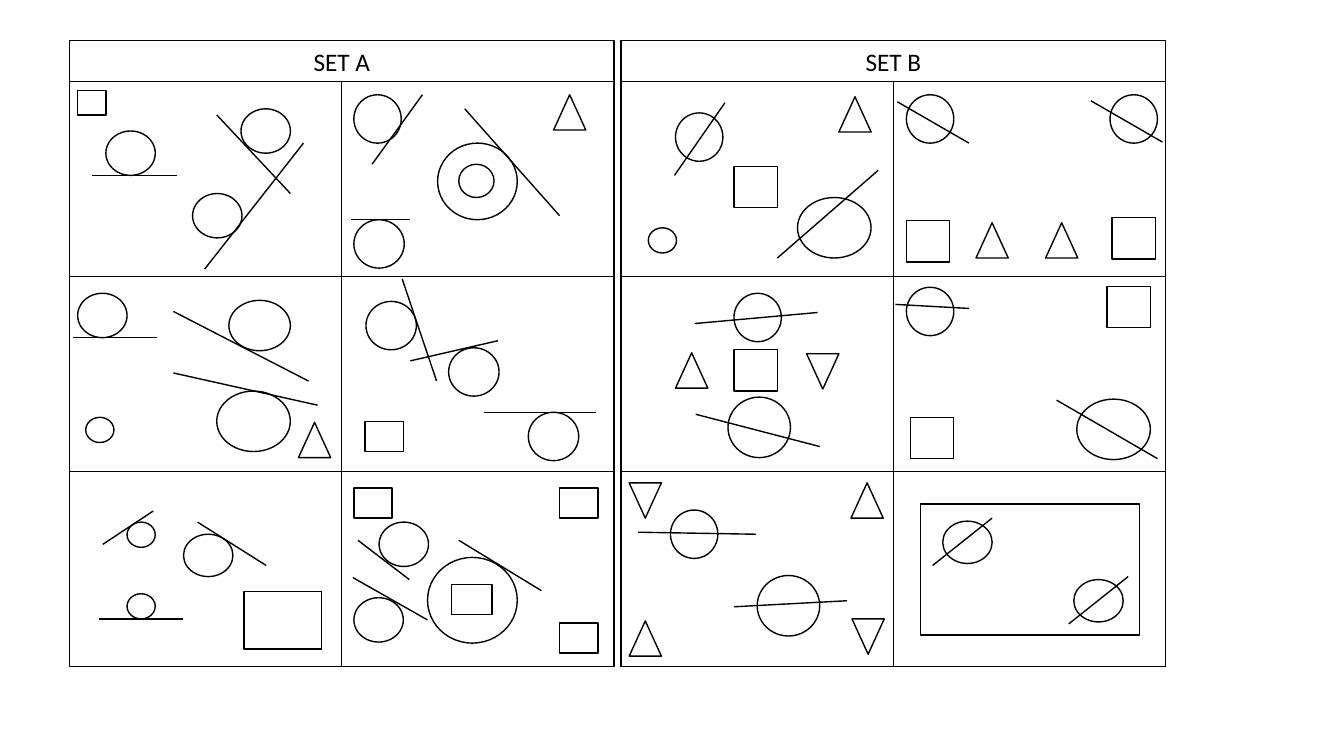
from lxml.etree import SubElement
from pptx import Presentation
from pptx.dml.color import RGBColor
from pptx.enum.shapes import MSO_CONNECTOR as Connector, MSO_SHAPE as Shape
from pptx.enum.text import MSO_ANCHOR as Anchor, MSO_AUTO_SIZE as AutoSize, PP_ALIGN as Align
from pptx.oxml import parse_xml
from pptx.oxml.ns import nsdecls, qn
from pptx.util import Cm, Pt

COLOURS = {"ink": "000000"}
FRAME_FORMAT = {"word_wrap": False, "auto_size": AutoSize.NONE, "vertical_anchor": Anchor.MIDDLE}
FONT_FORMAT = {"name": "Calibri", "size": Pt(18), "bold": False}
PLAIN_TABLE = {"first_row": False, "horz_banding": False}
LINE_WIDTH = 1
CM_PER_INCH = 2.54

GRID_TOP, HEADER_TOP, HEADER_HEIGHT = 0.81, 0.4, 0.41
SET_WIDTH, GRID_HEIGHT = 5.4, 5.8
ROWS, COLUMNS = 3, 2
SETS = [("SET A", 0.69), ("SET B", 6.16)]

FIGURES = {
    (Shape.OVAL, 0.28, 0.25): [(0.85, 4.14), (1.26, 5.18), (1.26, 5.89), (6.43, 2.26)],
    (Shape.OVAL, 0.35, 0.33): [(4.55, 1.63)],
    (Shape.OVAL, 0.47, 0.48): [(3.51, 0.94), (6.7, 1.12), (8.99, 2.85), (7.28, 2.91),
                               (8.99, 0.94), (11.01, 0.94), (6.65, 5.06)],
    (Shape.OVAL, 0.49, 0.42): [(1.82, 5.3), (9.35, 5.17), (10.65, 5.75)],
    (Shape.OVAL, 0.49, 0.44): [(1.05, 1.3), (1.91, 1.92), (2.39, 1.08), (0.77, 2.91),
                               (3.76, 5.18), (3.51, 5.93)],
    (Shape.OVAL, 0.5, 0.48): [(3.51, 2.18), (3.63, 2.99), (4.45, 3.45), (5.24, 4.09)],
    (Shape.OVAL, 0.61, 0.5): [(2.27, 2.98)],
    (Shape.OVAL, 0.62, 0.6): [(7.22, 3.94), (7.51, 5.71)],
    (Shape.OVAL, 0.73, 0.6): [(2.15, 3.88), (7.91, 1.96), (10.68, 3.96)],
    (Shape.OVAL, 0.79, 0.76): [(4.34, 1.42)],
    (Shape.OVAL, 0.89, 0.85): [(4.24, 5.53)],
    (Shape.RECTANGLE, 0.28, 0.24): [(0.77, 0.9)],
    (Shape.RECTANGLE, 0.38, 0.3): [(3.62, 4.18), (3.51, 4.84), (5.55, 4.84), (5.55, 6.18)],
    (Shape.RECTANGLE, 0.4, 0.3): [(4.48, 5.8)],
    (Shape.RECTANGLE, 0.43, 0.41): [(7.28, 1.65), (9.03, 4.14), (10.98, 2.84), (7.28, 3.47),
                                    (8.99, 2.19), (11.03, 2.16)],
    (Shape.RECTANGLE, 0.77, 0.57): [(2.42, 5.87)],
    (Shape.RECTANGLE, 2.17, 1.3): [(9.13, 5)],
    (Shape.ISOSCELES_TRIANGLE, 0.32, 0.35): [(5.49, 0.94), (2.96, 4.19), (8.32, 0.96), (6.7, 3.5),
                                             (9.68, 2.21), (10.37, 2.21), (8.44, 4.79), (6.24, 6.16)],
}
INVERTED_TRIANGLES = [(8, 3.51), (6.24, 4.79), (8.45, 6.14)]

TANGENTS = [
    (2.15, 1.14, 2.88, 1.92), (3.01, 1.42, 2.03, 2.67), (0.91, 1.74, 1.76, 1.74),
    (4.61, 1.08, 5.55, 2.14), (4.19, 0.94, 3.69, 1.63), (3.48, 2.18, 4.07, 2.18),
    (0.72, 3.35, 1.56, 3.35), (1.72, 3.09, 3.06, 3.78), (1.72, 3.7, 3.15, 4.02),
    (4.07, 3.58, 4.94, 3.38), (3.99, 2.77, 4.33, 3.78), (4.8, 4.09, 5.91, 4.09),
    (4.55, 5.36, 5.37, 5.86), (3.55, 5.36, 4.06, 5.75), (3.5, 5.73, 4.24, 6.15),
    (1.96, 5.18, 2.64, 5.61), (1.02, 5.4, 1.52, 5.07), (0.98, 6.14, 1.82, 6.14),
]
SECANTS = [
    (7.19, 1.02, 6.69, 1.74), (8.71, 1.69, 7.71, 2.56), (9.84, 5.14, 9.25, 5.61),
    (11.19, 5.72, 10.6, 6.19), (9.61, 3.06, 8.88, 3.02), (11.48, 4.55, 10.48, 3.97),
    (8.11, 3.1, 6.89, 3.21), (8.13, 4.43, 6.9, 4.11), (9.61, 1.42, 8.9, 1.01),
    (11.53, 1.41, 10.82, 1), (7.5, 5.3, 6.33, 5.28), (8.4, 5.96, 7.28, 6.02),
]


def lengths(*inches):
    """Turn inch measures into slide lengths."""
    return [Cm(value * CM_PER_INCH) for value in inches]


def apply_format(target, values):
    """Set every attribute in values on target."""
    for name, value in values.items():
        setattr(target, name, value)


def ink_line(line):
    """Give a line the common colour and width."""
    line.color.rgb = RGBColor.from_string(COLOURS["ink"])
    line.width = Pt(LINE_WIDTH)


def add_figure(slide, kind, left, top, width, height, rotation=0):
    """Add an outlined shape without fill or shadow."""
    shape = slide.shapes.add_shape(kind, *lengths(left, top, width, height))
    shape.rotation = rotation
    shape.shadow.inherit = False
    shape.fill.background()
    ink_line(shape.line)


def add_line(slide, ends):
    """Add a straight line between two points."""
    connector = slide.shapes.add_connector(Connector.STRAIGHT, *lengths(*ends))
    ink_line(connector.line)
    SubElement(connector._element.spPr, qn("a:effectLst"))


def outline_cell(cell):
    """Clear a cell's fill and draw its four borders."""
    cell.fill.background()
    properties = cell._tc.get_or_add_tcPr()
    for index, side in enumerate("LRTB"):
        border = parse_xml(
            f'<a:ln{side} {nsdecls("a")} w="{Pt(LINE_WIDTH)}"><a:solidFill>'
            f'<a:srgbClr val="{COLOURS["ink"]}"/></a:solidFill></a:ln{side}>')
        properties.insert(index, border)


def add_grid(slide, left):
    """Add the empty table that frames one set."""
    frame = slide.shapes.add_table(
        ROWS, COLUMNS, *lengths(left, GRID_TOP, SET_WIDTH, GRID_HEIGHT))
    apply_format(frame.table, PLAIN_TABLE)
    for cell in frame.table.iter_cells():
        outline_cell(cell)


def fill_heading(placeholder, text, left):
    """Place a set heading over its grid."""
    bounds = lengths(left, HEADER_TOP, SET_WIDTH, HEADER_HEIGHT)
    apply_format(placeholder, dict(zip(("left", "top", "width", "height"), bounds)))
    frame = placeholder.text_frame
    apply_format(frame, FRAME_FORMAT)
    paragraph = frame.paragraphs[0]
    apply_format(paragraph, {"text": text, "alignment": Align.CENTER, "space_before": Pt(0)})
    apply_format(paragraph.font, FONT_FORMAT)
    paragraph.font.color.rgb = RGBColor.from_string(COLOURS["ink"])


def remove_empty_placeholders(slide):
    """Delete the placeholders that hold no text."""
    for placeholder in list(slide.placeholders):
        if not placeholder.text_frame.text:
            placeholder._element.getparent().remove(placeholder._element)


def main():
    """Build the two sets of circles and lines."""
    presentation = Presentation()
    presentation.slide_width, presentation.slide_height = lengths(13.33, 7.5)
    slide = presentation.slides.add_slide(presentation.slide_layouts.get_by_name("Comparison"))
    headings = [slide.placeholders[1], slide.placeholders[3]]
    for heading, (text, left) in zip(headings, SETS):
        fill_heading(heading, text, left)
        add_grid(slide, left)
        add_figure(slide, Shape.RECTANGLE, left, HEADER_TOP, SET_WIDTH, HEADER_HEIGHT)
    remove_empty_placeholders(slide)
    for (kind, width, height), places in FIGURES.items():
        for left, top in places:
            add_figure(slide, kind, left, top, width, height)
    for left, top in INVERTED_TRIANGLES:
        add_figure(slide, Shape.ISOSCELES_TRIANGLE, left, top, 0.32, 0.35, 180)
    for ends in TANGENTS + SECANTS:
        add_line(slide, ends)
    presentation.save("out.pptx")


main()
